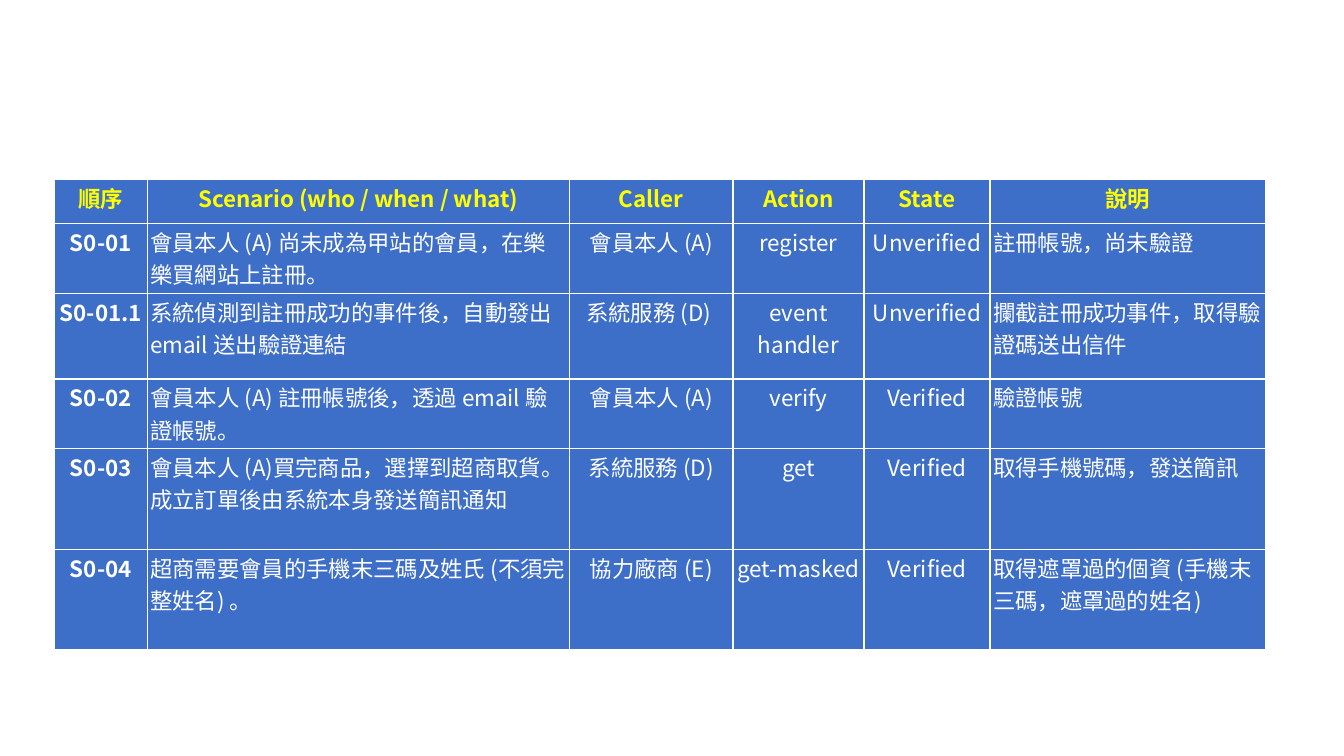
"""Build a slide with a table of member account scenarios."""
from lxml.etree import SubElement
from pptx import Presentation
from pptx.dml.color import RGBColor
from pptx.enum.text import MSO_ANCHOR, PP_ALIGN
from pptx.oxml import parse_xml
from pptx.oxml.ns import nsdecls, qn
from pptx.util import Inches, Pt

COLORS = {"cell": "3D6EC8", "header": "FFFF00", "text": "FFFFFF", "border": "FFFFFF"}
FONT = "Noto Sans CJK SC"
COLUMN_WIDTHS = [0.92, 4.19, 1.62, 1.3, 1.25, 2.73]
ROW_HEIGHTS = [0.44, 0.69, 0.85, 0.69, 1, 1]
LEFT_COLUMNS = {1, 5}
SCENARIOS = [
    ["順序", "Scenario (who / when / what)", "Caller", "Action", "State", "說明"],
    ["S0-01", "會員本人 (A) 尚未成為甲站的會員，在樂樂買網站上註冊。",
     "會員本人 (A)", "register", "Unverified", "註冊帳號，尚未驗證"],
    ["S0-01.1", "系統偵測到註冊成功的事件後，自動發出 email 送出驗證連結",
     "系統服務 (D) ", "event handler", "Unverified", "攔截註冊成功事件，取得驗證碼送出信件"],
    ["S0-02", "會員本人 (A) 註冊帳號後，透過 email 驗證帳號。",
     "會員本人 (A)", "verify", "Verified", "驗證帳號"],
    ["S0-03", "會員本人 (A)買完商品，選擇到超商取貨。\n成立訂單後由系統本身發送簡訊通知",
     "系統服務 (D)", "get", "Verified", "取得手機號碼，發送簡訊"],
    ["S0-04", "超商需要會員的手機末三碼及姓氏 (不須完整姓名) 。",
     "協力廠商 (E)", "get-masked", "Verified", "取得遮罩過的個資 (手機末三碼，遮罩過的姓名)"],
]


def add_borders(cell):
    properties = cell._tc.get_or_add_tcPr()
    for position, side in enumerate(["lnL", "lnR", "lnT", "lnB"]):
        properties.insert(position, parse_xml(
            f'<a:{side} {nsdecls("a")} w="{Pt(1)}"><a:solidFill>'
            f'<a:srgbClr val="{COLORS["border"]}"/></a:solidFill></a:{side}>'))


deck = Presentation()
deck.slide_width, deck.slide_height = Inches(13.33), Inches(7.5)
page = deck.slides.add_slide(deck.slide_layouts[6])

table = page.shapes.add_table(
    len(ROW_HEIGHTS), len(COLUMN_WIDTHS), Inches(0.54), Inches(1.78),
    Inches(sum(COLUMN_WIDTHS)), Inches(sum(ROW_HEIGHTS))).table
table.horz_banding = False
for column, width in zip(table.columns, COLUMN_WIDTHS):
    column.width = Inches(width)
for row, height in zip(table.rows, ROW_HEIGHTS):
    row.height = Inches(height)

for row_number, texts in enumerate(SCENARIOS):
    is_header = row_number == 0
    for column_number, text in enumerate(texts):
        cell = table.cell(row_number, column_number)
        cell.margin_left = cell.margin_right = Inches(0.03)
        cell.margin_top = cell.margin_bottom = Inches(0.02)
        cell.vertical_anchor = MSO_ANCHOR.TOP
        cell.fill.solid()
        cell.fill.fore_color.rgb = RGBColor.from_string(COLORS["cell"])
        add_borders(cell)
        cell.text_frame.text = text
        is_left = column_number in LEFT_COLUMNS and not is_header
        for para in cell.text_frame.paragraphs:
            para.alignment = PP_ALIGN.LEFT if is_left else PP_ALIGN.CENTER
            for span in para.runs:
                span.font.size = Pt(16)
                span.font.name = FONT
                span.font.bold = is_header or column_number == 0
                span.font.color.rgb = RGBColor.from_string(
                    COLORS["header" if is_header else "text"])
                SubElement(span.font._element, qn("a:ea"), typeface=FONT)

deck.save("out.pptx")
